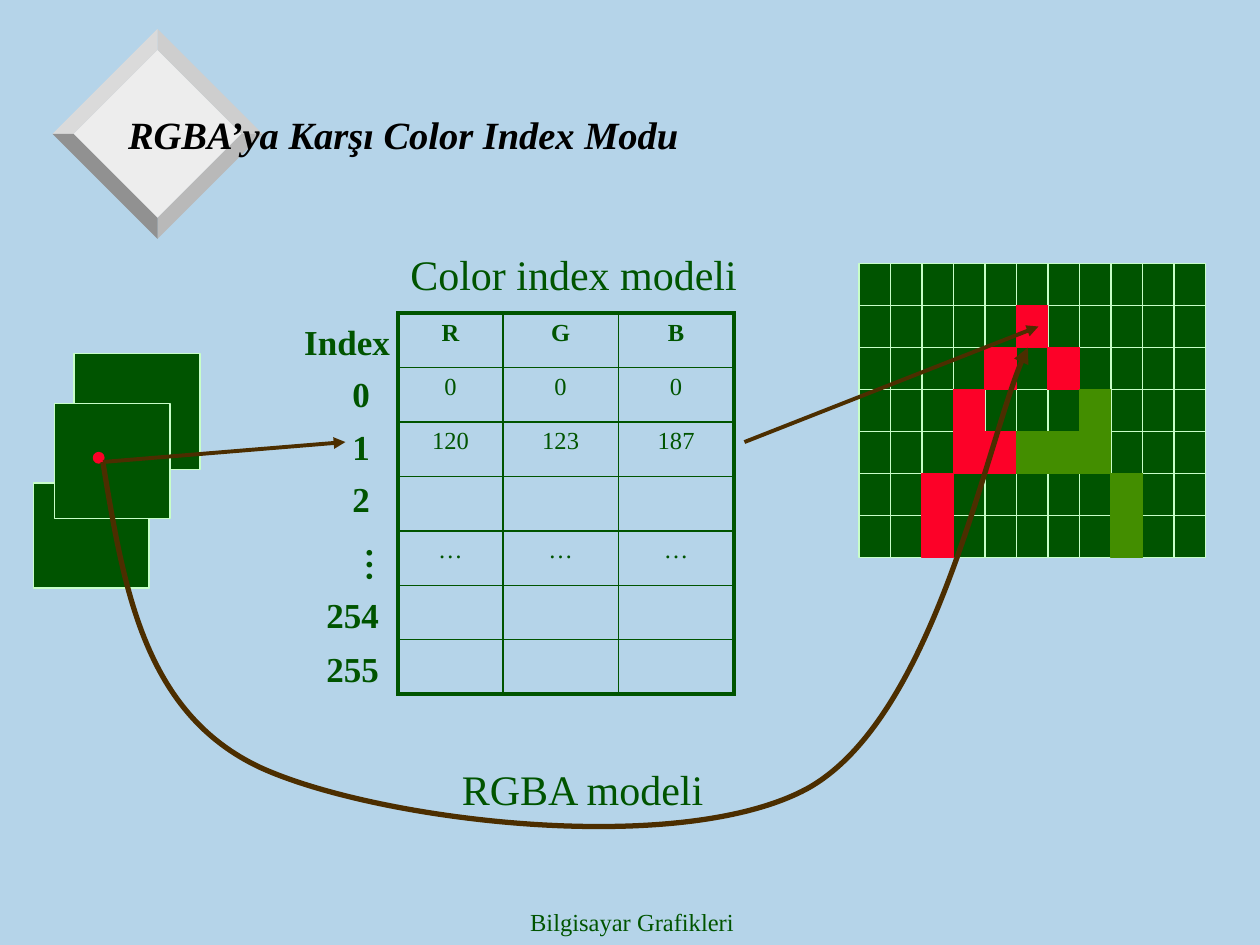
from lxml.etree import SubElement
from pptx import Presentation
from pptx.dml.color import RGBColor
from pptx.enum.shapes import MSO_CONNECTOR, MSO_SHAPE
from pptx.enum.text import MSO_ANCHOR, PP_ALIGN
from pptx.oxml.ns import qn
from pptx.util import Inches, Pt

GREEN, MINT, RED = "005400", "C8FEC8", "FC0128"
OLIVE, BROWN = "438E00", "4C2E00"
LEFT, MID = PP_ALIGN.LEFT, PP_ALIGN.CENTER

deck = Presentation()
deck.slide_width, deck.slide_height = Inches(10), Inches(7.5)
slide = deck.slides.add_slide(deck.slide_layouts[5])
shapes = slide.shapes
unit = deck.slide_width / 120  # grid of 120 columns by 90 rows


def paint(item, tone, width=None):
    """Colour a fill, a font or, with a width, a line."""
    if width:
        item.width = Pt(width)
        item = item.fill
    if hasattr(item, "solid"):
        item.solid()
        item = item.fore_color
    else:
        item = item.color
    item.rgb = RGBColor.from_string(tone)


def write(frame, words, size, align=LEFT, bold=False, tone=GREEN):
    """Put one run of text in a frame."""
    para = frame.paragraphs[0]
    para.alignment = align
    run = para.add_run()
    run.text = words
    run.font.name, run.font.size, run.font.bold = "Times New Roman", Pt(size), bold
    paint(run.font, tone)
    return run


paint(slide.background.fill, "B5D4E9")

# Bevelled diamond: a centre face and four edges
mid_x, mid_y, big, small = 15, 12.75, 10, 8
faces = [("EDEDED", [(0, -small), (-small, 0), (0, small), (small, 0)])]
for tone, right, down in (("CECECE", 1, -1), ("DADADA", -1, -1),
                          ("B9B9B9", 1, 1), ("919191", -1, 1)):
    faces.append((tone, [(0, down * small), (0, down * big),
                         (right * big, 0), (right * small, 0)]))
for tone, ends in faces:
    spots = [((mid_x + x) * unit, (mid_y + y) * unit) for x, y in ends]
    pen = shapes.build_freeform(*spots[0])
    pen.add_line_segments(spots[1:], close=True)
    face = pen.convert_to_shape()
    face.shadow.inherit = False
    paint(face.fill, tone)
    face.line.fill.background()

# Title, brought in front of the diamond
title = shapes.title
title.left, title.top, title.width, title.height = (
    int(n * unit) for n in (11, 5.5, 102, 14.5))
title.text_frame.vertical_anchor = MSO_ANCHOR.MIDDLE
title.text_frame.word_wrap = True
head = write(title.text_frame, "RGBA’ya Karşı Color Index Modu", 22,
             bold=True, tone="000000")
head.font.italic = True
title.element.getparent().append(title.element)

# Boxes: three planes, the pixel grid, its lit cells, the picked point
left, top, wide, high, cols, rows = 81.8, 25.1, 3, 4, 11, 7
boxes = [(7.05, 33.7, 12, 11, GREEN, MINT), (3.2, 46, 11, 10, GREEN, MINT),
         (5.2, 38.4, 11, 11, GREEN, MINT),
         (left, top, cols * wide, rows * high, GREEN, MINT)]
lit = {RED: [(5, 1), (4, 2), (6, 2), (3, 3), (3, 4), (4, 4), (2, 5), (2, 6)],
       OLIVE: [(7, 3), (5, 4), (6, 4), (7, 4), (8, 5), (8, 6)]}
cells = [(left + col * wide, top + row * high, wide, high, tone, tone)
         for tone, spots in lit.items() for col, row in spots]
point = (8.9, 43.1, 1, 1, RED, RED)

# Lines: grid rules, then the two arrows
rules = [(left, top + n * high, left + cols * wide, top + n * high)
         for n in range(1, rows)]
rules += [(left + n * wide, top, left + n * wide, top + rows * high)
          for n in range(1, cols)]
arrows = [(9.8, 44, 32.9, 42.1), (70.9, 42.1, 98.9, 31.1)]

for kind, parts in (("box", boxes), ("rule", rules), ("box", cells),
                    ("dot", [point]), ("arrow", arrows)):
    for part in parts:
        place = [int(n * unit) for n in part[:4]]
        if kind in ("box", "dot"):
            form = MSO_SHAPE.OVAL if kind == "dot" else MSO_SHAPE.RECTANGLE
            box = shapes.add_shape(form, *place)
            box.shadow.inherit = False
            paint(box.fill, part[4])
            paint(box.line, part[5], 0.75)
            continue
        line = shapes.add_connector(MSO_CONNECTOR.STRAIGHT, *place)
        if kind == "arrow":
            paint(line.line, BROWN, 2.25)
            SubElement(line.line._get_or_add_ln(), qn("a:tailEnd"), type="triangle")
        else:
            paint(line.line, MINT, 0.75)
        SubElement(line.element.spPr, qn("a:effectLst"))

# Colour table
data = [("R", "G", "B"), ("0", "0", "0"), ("120", "123", "187"),
        ("", "", ""), ("…", "…", "…"), ("", "", ""), ("", "", "")]
widths, tall = (10, 11, 11), 5.19
table = shapes.add_table(len(data), 3, *(
    int(n * unit) for n in (37.9, 29.8, sum(widths), tall * len(data)))).table
table.first_row = table.horz_banding = False
for col, size in zip(table.columns, widths):
    col.width = int(size * unit)
for r, texts in enumerate(data):
    table.rows[r].height = int(tall * unit)
    for c, words in enumerate(texts):
        cell = table.cell(r, c)
        if words:
            write(cell.text_frame, words, 14, MID, bold=r == 0)
        else:
            cell.text_frame.paragraphs[0].font.size = Pt(14)
        props = cell._tc.get_or_add_tcPr()
        for side, outer in (("L", c == 0), ("R", c == 2),
                            ("T", r == 0), ("B", r == len(data) - 1)):
            edge = SubElement(props, qn("a:ln" + side),
                              w=str(Pt(2.25 if outer else 1)))
            fill = SubElement(edge, qn("a:solidFill"))
            SubElement(fill, qn("a:srgbClr"), val=GREEN)
        cell.fill.background()

# Labels
labels = [("Index", 27.8, 29.9, 11, 5.3, 20, LEFT, True),
          ("…", 32.5, 50.9, 6.4, 5.2, 20, LEFT, True),
          ("254", 29.9, 55.9, 11, 5.3, 20, LEFT, True),
          ("255", 29.9, 61.1, 11, 5.3, 20, LEFT, True),
          ("RGBA modeli", 42.8, 72.1, 27, 6, 24, LEFT, False),
          ("Color index modeli", 37.9, 23.1, 34, 6, 24, LEFT, False),
          ("Bilgisayar Grafikleri", 41.2, 85.8, 38, 4.2, 14, MID, False)]
labels += [(str(n), 28.9, 34.9 + 5 * n, 11, 5.3, 20, MID, True) for n in range(3)]
for words, x, y, w, h, size, align, bold in labels:
    frame = shapes.add_textbox(*(int(n * unit) for n in (x, y, w, h))).text_frame
    frame.word_wrap = True
    write(frame, words, size, align, bold)
    if words == "…":
        frame._txBody.bodyPr.set("vert", "eaVert")
        frame.margin_left = frame.margin_right = Inches(0.05)
        frame.margin_top = frame.margin_bottom = Inches(0.1)

# Curved arrow: each three points after the start make one Bezier piece
bends = [(9.8, 44), (11.8, 56), (13.7, 67.9), (24.8, 73.1), (36, 78.2),
         (64.7, 81.7), (76.9, 75.1), (89, 68.4), (94.3, 40.1), (97.9, 33.1)]
spots = [(x * unit, y * unit) for x, y in bends]
pen = shapes.build_freeform(*spots[0])
pen.add_line_segments(spots[1:], close=False)
curve = pen.convert_to_shape()
curve.shadow.inherit = False
curve.fill.background()
paint(curve.line, BROWN, 3)
SubElement(curve.line._get_or_add_ln(), qn("a:tailEnd"), type="triangle")
steps = list(curve.element.iter(qn("a:lnTo")))
track = steps[0].getparent()
for n in range(0, len(steps), 3):
    piece = SubElement(track, qn("a:cubicBezTo"))
    for step in steps[n:n + 3]:
        piece.append(step[0])
        track.remove(step)

deck.save("out.pptx")
